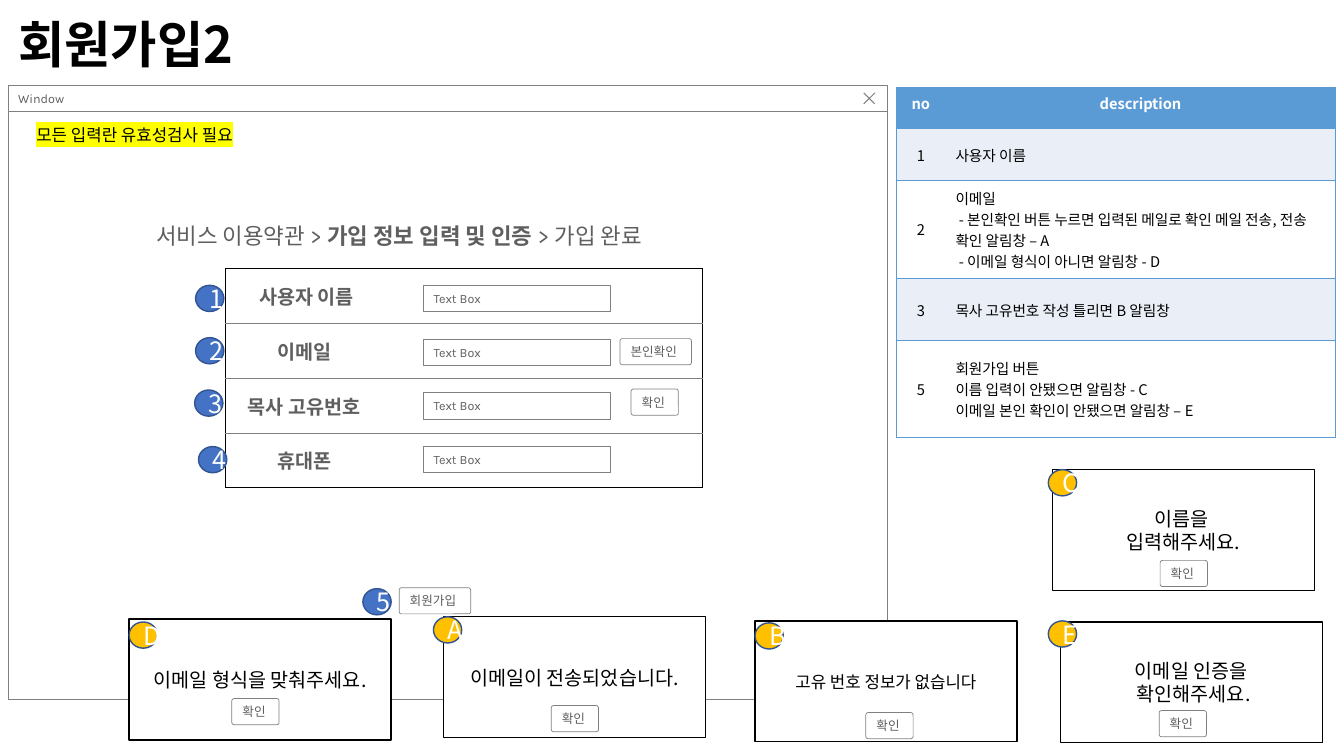
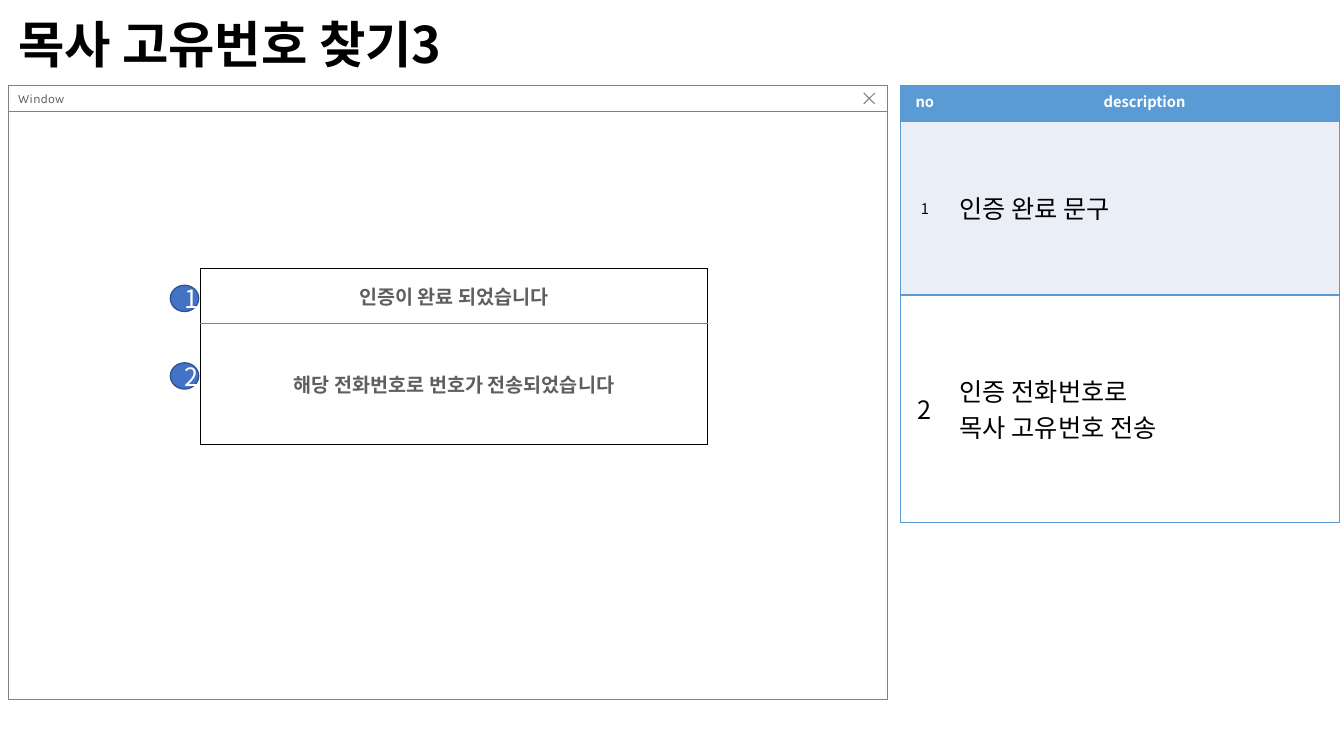
import pptx
import pptx.util
import pptx.dml.color
import pptx.enum.shapes
import pptx.enum.text
from lxml import etree

Pt = pptx.util.Pt
SHAPE = pptx.enum.shapes.MSO_SHAPE
ALIGN = pptx.enum.text.PP_ALIGN
ANCHOR = pptx.enum.text.MSO_ANCHOR
AUTO = pptx.enum.text.MSO_AUTO_SIZE
NS = "{http://schemas.openxmlformats.org/drawingml/2006/main}"

KOREAN, LATIN = "Noto Sans CJK KR", "Karla"
BLACK, WHITE, TEXT_GRAY, LINE_GRAY = "000000", "FFFFFF", "5F5F5F", "808080"
BLUE, NAVY, AMBER, YELLOW = "4472C4", "325491", "FFC000", "FFFF00"
HEADER, BAND = "5B9BD5", "EAEFF7"
WINDOW = (5.8, 61.2, 627.8, 438.5)
BADGE_W, BADGE_H, CONTROL_H = 20.2, 18.7, 18.7


def rgb(color):
    """Turn a hex string into a colour."""
    return pptx.dml.color.RGBColor.from_string(color)


def solid(parent, color):
    """Append a solid colour fill to an XML element."""
    fill = etree.SubElement(parent, NS + "solidFill")
    etree.SubElement(fill, NS + "srgbClr", val=color)


def write(tf, lines, size, color=BLACK, face=KOREAN, bold=False,
          align=ALIGN.LEFT, spacing=None, highlight=None):
    """Write lines, each a string or a list of (text, bold) runs."""
    for i, line in enumerate(lines):
        p = tf.paragraphs[0] if i == 0 else tf.add_paragraph()
        p.alignment = align
        if spacing:
            p.line_spacing = spacing
        for text, strong in [(line, bold)] if isinstance(line, str) else line:
            r = p.add_run()
            r.text = text
            r.font.size, r.font.bold = Pt(size), strong
            r.font.color.rgb = rgb(color)
            rpr = r.font._element
            if highlight:
                mark = etree.SubElement(rpr, NS + "highlight")
                etree.SubElement(mark, NS + "srgbClr", val=highlight)
            r.font.name = face
            etree.SubElement(rpr, NS + "ea", typeface=KOREAN)


def set_frame(tf, insets=(7.2, 3.6, 7.2, 3.6), wrap=True, grow=False, anchor=ANCHOR.MIDDLE):
    """Set the insets, wrapping and anchor of a text frame."""
    tf.margin_left, tf.margin_top, tf.margin_right, tf.margin_bottom = map(Pt, insets)
    tf.word_wrap = wrap
    tf.auto_size = AUTO.SHAPE_TO_FIT_TEXT if grow else AUTO.NONE
    tf.vertical_anchor = anchor
    return tf


def add_box(s, kind, box, fill=WHITE, line=LINE_GRAY, width=0.5):
    """Add a filled, outlined preset shape."""
    sp = s.shapes.add_shape(kind, *map(Pt, box))
    sp.shadow.inherit = False
    sp.fill.solid()
    sp.fill.fore_color.rgb = rgb(fill)
    sp.line.color.rgb = rgb(line)
    sp.line.width = Pt(width)
    return sp


def add_text(s, box, lines, size, insets=(7.2, 3.6, 7.2, 3.6), grow=True,
             anchor=ANCHOR.TOP, **style):
    """Add a wrapped text box."""
    tf = s.shapes.add_textbox(*map(Pt, box)).text_frame
    write(set_frame(tf, insets, True, grow, anchor), lines, size, **style)


def add_badge(s, x, y, label, fill=BLUE):
    """Add a round marker with its label."""
    sp = add_box(s, SHAPE.OVAL, (x, y, BADGE_W, BADGE_H), fill, NAVY, 1)
    write(set_frame(sp.text_frame), [label], 18, WHITE, align=ALIGN.CENTER)


def add_button(s, x, y, label):
    """Add a rounded button as wide as its label needs."""
    width = 33.8 if len(label) == 2 else 51.1
    sp = add_box(s, SHAPE.ROUNDED_RECTANGLE, (x, y, width, CONTROL_H))
    sp.adjustments[0] = 0.09
    write(set_frame(sp.text_frame, wrap=False, grow=True), [label], 9, TEXT_GRAY, LATIN)


def add_input(s, x, y):
    """Add an input field."""
    sp = add_box(s, SHAPE.RECTANGLE, (x, y, 133.2, CONTROL_H))
    tf = set_frame(sp.text_frame, (7.2, 4.3, 7.2, 4.3), grow=True)
    write(tf, ["Text Box"], 9, TEXT_GRAY, LATIN)


def add_popup(s, x, y, label, lines, size, button, badge):
    """Add an alert with its button and marker at offsets from its corner."""
    sp = add_box(s, SHAPE.RECTANGLE, (x, y, 187.2, 86.4), line=BLACK, width=1)
    write(set_frame(sp.text_frame), lines, size, align=ALIGN.CENTER)
    add_button(s, x + button[0], y + button[1], "확인")
    add_badge(s, x + badge[0], y + badge[1], label, AMBER)


def set_border(cell, side, color=None, width=1):
    """Draw one side of a cell, or hide it when no colour is given."""
    ln = etree.SubElement(cell._tc.get_or_add_tcPr(), NS + "ln" + side, w=str(Pt(width)))
    if color:
        solid(ln, color)
    else:
        etree.SubElement(ln, NS + "noFill")


def add_grid(s, x, y, cols, rows, outer, inner):
    """Add a plain table with an outer frame and inner horizontal rules."""
    shape = s.shapes.add_table(len(rows), len(cols), Pt(x), Pt(y), Pt(sum(cols)), Pt(sum(rows)))
    table = shape.table
    table.first_row = table.horz_banding = False
    for col, width in zip(table.columns, cols):
        col.width = Pt(width)
    for row, height in zip(table.rows, rows):
        row.height = Pt(height)
    for i in range(len(rows)):
        for j in range(len(cols)):
            cell = table.cell(i, j)
            set_border(cell, "L", *(outer if j == 0 else ()))
            set_border(cell, "R", *(outer if j == len(cols) - 1 else ()))
            set_border(cell, "T", *(outer if i == 0 else inner))
            set_border(cell, "B", *(outer if i == len(rows) - 1 else inner))
            cell.fill.solid()
            cell.fill.fore_color.rgb = rgb(WHITE)
            cell.vertical_anchor = ANCHOR.MIDDLE
    return table


def add_descriptions(s, x, y, heights, entries):
    """Add the description table; entries are (no, no size, lines, size)."""
    rule = (HEADER, 1)
    table = add_grid(s, x, y, (35.3, 278.6), heights, rule, rule)
    for j, name in enumerate(("no", "description")):
        cell = table.cell(0, j)
        cell.fill.fore_color.rgb = rgb(HEADER)
        cell.vertical_anchor = ANCHOR.TOP
        write(cell.text_frame, [name], 10.5, WHITE, bold=True, align=ALIGN.CENTER)
    for i, (no, no_size, lines, size) in enumerate(entries, 1):
        write(table.cell(i, 0).text_frame, [no], no_size, align=ALIGN.CENTER)
        write(table.cell(i, 1).text_frame, lines, size)
        for j in range(2):
            table.cell(i, j).fill.fore_color.rgb = rgb(BAND if i % 2 else WHITE)


def add_form(s, x, y, cols, heights, labels):
    """Add the framed form with bold labels in its first column."""
    table = add_grid(s, x, y, cols, heights, (BLACK, 1), (LINE_GRAY, 0.5))
    for i, label in enumerate(labels):
        write(table.cell(i, 0).text_frame, [label], 14, TEXT_GRAY, LATIN, True, ALIGN.CENTER)


def add_window(s, box):
    """Add the window frame with its title bar and close mark."""
    x, y, w, h = box
    bar = 18.7
    add_box(s, SHAPE.RECTANGLE, (x, y + bar, w, h - bar))
    sp = add_box(s, SHAPE.RECTANGLE, (x, y, w, bar))
    write(set_frame(sp.text_frame, (7.2, 3.6, 18, 3.6)), ["Window"], 9, TEXT_GRAY, LATIN)
    left, right, top, bottom = map(Pt, (x + w - 16.6, x + w - 8.7, y + 5.2, y + 13))
    mark = s.shapes.build_freeform(right, top)
    mark.add_line_segments([(left, bottom)], close=False)
    mark.move_to(left, top)
    mark.add_line_segments([(right, bottom)], close=False)
    sp = mark.convert_to_shape()
    sp.shadow.inherit = False
    sp.fill.background()
    sp.line.color.rgb = rgb(LINE_GRAY)
    sp.line.width = Pt(0.75)


def add_page(prs, title):
    """Add a slide with the shared title and window."""
    s = prs.slides.add_slide(prs.slide_layouts[6])
    add_window(s, WINDOW)
    add_text(s, (5.8, 7.2, 553, 52.6), [title], 36, grow=False,
             anchor=ANCHOR.MIDDLE, bold=True, spacing=0.9)
    return s


def build_signup(prs):
    """Build the sign-up slide."""
    s = add_page(prs, "회원가입2")
    x, y = WINDOW[:2]
    add_descriptions(s, 640.1, 62.6, (29.4, 37, 70, 44.4, 69), [
        ("1", 10.5, ["사용자 이름"], 10.5),
        ("2", 10.5, ["이메일",
                     " - 본인확인 버튼 누르면 입력된 메일로 확인 메일 전송, 전송 확인 알림창 – A",
                     " - 이메일 형식이 아니면 알림창 - D"], 10.5),
        ("3", 10.5, ["목사 고유번호 작성 틀리면 B 알림창"], 10.5),
        ("5", 10.5, ["회원가입 버튼", "이름 입력이 안됐으면 알림창 - C",
                     "이메일 본인 확인이 안됐으면 알림창 – E"], 10.5)])
    add_text(s, (x, y + 24.5, 180.7, 21.6), ["모든 입력란 유효성검사 필요"], 12,
             align=ALIGN.CENTER, highlight=YELLOW)
    add_text(s, (x + 100, y + 94.3, 466.6, 25.2),
             [[("서비스 이용약관 > ", False), ("가입 정보 입력 및 인증 ", True), ("> 가입 완료", False)]],
             16, (5.8, 2.9, 5.8, 2.9), color=TEXT_GRAY, face=LATIN)
    add_form(s, x + 155.5, y + 130.8, (112.3, 228.2), [39.1] * 4,
             [" 사용자 이름", "이메일", "목사 고유번호", "휴대폰"])
    for i in range(4):
        add_input(s, x + 296.9, y + 142.6 + 38.4 * i)
    for no, dx, dy in (("1", 133.9, 142.6), ("2", 133.9, 180), ("3", 133.2, 217.4),
                       ("4", 136, 257.8), ("5", 253.4, 359.3)):
        add_badge(s, x + dx, y + dy, no)
    for label, dx, dy in (("본인확인", 437, 180.7), ("확인", 445, 216.7), ("회원가입", 279.3, 358.6)):
        add_button(s, x + dx, y + dy, label)
    for popup in (
            (316.8, 440.6, "A", ["이메일이 전송되었습니다."], 14, (77, 63.4), (-7.2, 0)),
            (539.3, 443.5, "B", ["고유 번호 정보가 없습니다"], 12, (79.2, 65.5), (0, 1.4)),
            (757.4, 444.2, "E", ["이메일 인증을", " 확인해주세요."], 14, (70.6, 63.4), (-8.6, -0.7)),
            (751.7, 335.5, "C", ["이름을 ", "입력해주세요."], 14, (77, 64.8), (-2.9, 0)),
            (92.2, 442.1, "D", ["이메일 형식을 맞춰주세요."], 14, (73.4, 56.9), (0, 2.2))):
        add_popup(s, *popup)


def build_number_search(prs):
    """Build the number search slide."""
    s = add_page(prs, "목사 고유번호 찾기3")
    x, y = WINDOW[:2]
    add_descriptions(s, 643, 61.2, (25.2, 124.3, 162.4), [
        ("1", 10.5, ["인증 완료 문구"], 18),
        ("2", 18, ["인증 전화번호로", "목사 고유번호 전송"], 18)])
    add_form(s, x + 137.5, y + 130.8, (362.2,), (39.1, 86.4),
             ["인증이 완료 되었습니다", "해당 전화번호로 번호가 전송되었습니다"])
    for no, dy in (("1", 142.6), ("2", 198)):
        add_badge(s, x + 115.9, y + dy, no)


def main():
    """Build and save the presentation."""
    prs = pptx.Presentation()
    prs.slide_width, prs.slide_height = Pt(960), Pt(540)
    build_signup(prs)
    build_number_search(prs)
    prs.save("out.pptx")


if __name__ == "__main__":
    main()
